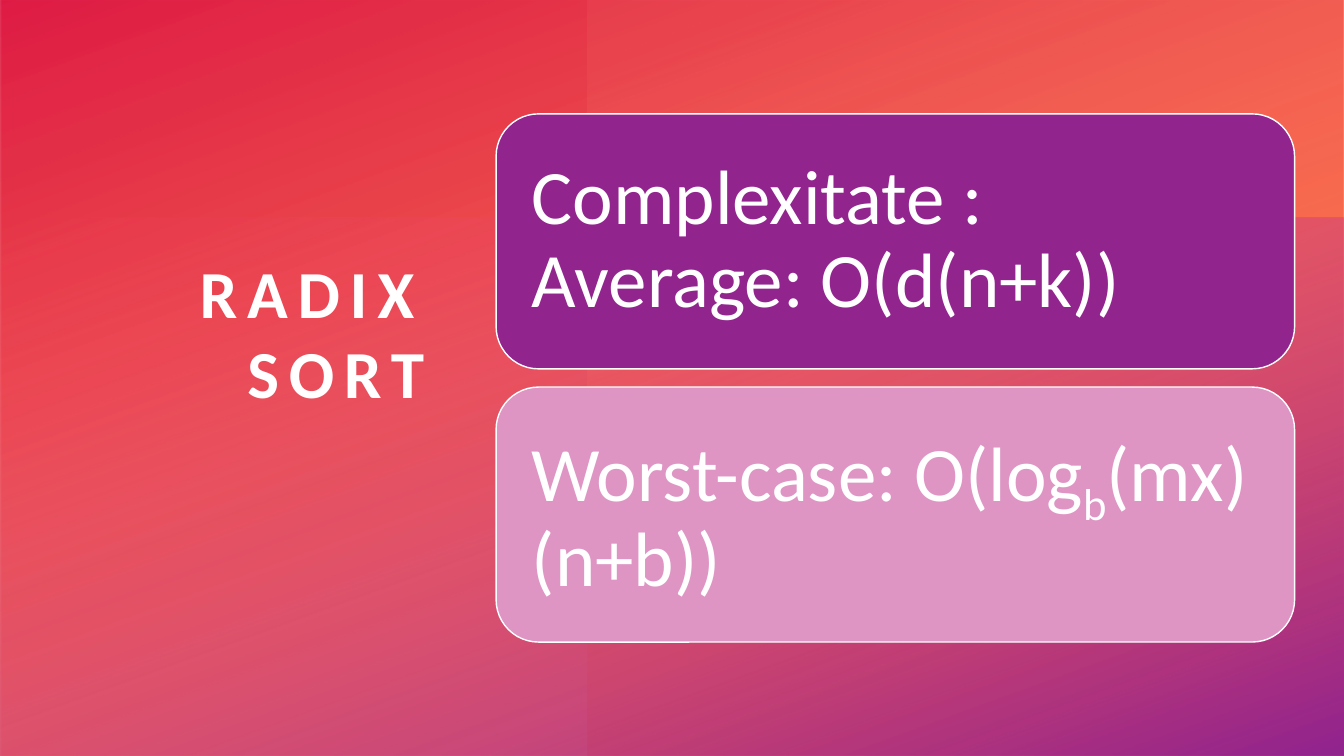
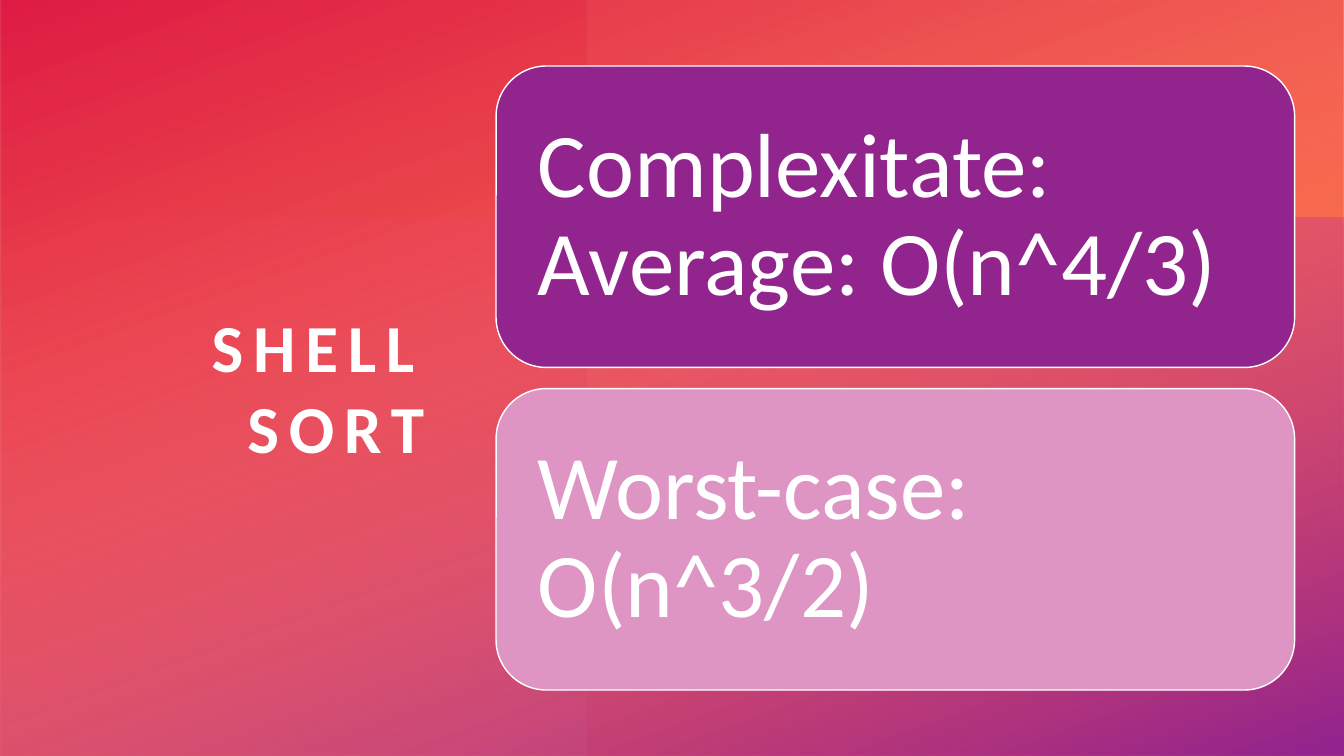
import pptx
import pptx.dml.color
import pptx.enum.shapes
import pptx.enum.text
import pptx.oxml.ns
import pptx.util
from lxml import etree

Inches = pptx.util.Inches
Pt = pptx.util.Pt

WIDTH, HEIGHT = 13.33, 7.5
COLOURS = {
    "white": "FFFFFF",
    "crimson": "DA002F",
    "orange": "FE4A00",
    "peach": "FF907A",
    "rose": "FF5076",
    "purple": "92248E",
    "pink": "DE95C4",
}
FONT = "Calibri"
CARD_LEFT, CARD_WIDTH = 4.92, 7.92
WASHES = [
    ((2.92, -2.92, 7.5, 13.33), 270, 200, [(8, "orange", 61), (100, "crimson", 89)]),
    ((5.83, 0, 7.5, 7.5), 180, 290, [(8, "peach", 11), (100, "orange", 70)]),
    ((3.99, -1.84, 5.35, 13.34), 270, 20, [(0, "rose", 0), (99, "purple", 100)]),
]


def rgb(name):
    """Return the named colour of the palette."""
    return pptx.dml.color.RGBColor.from_string(COLOURS[name])


def style_text(paragraph, size, bold=False):
    """Apply the shared white lettering to a paragraph."""
    paragraph.font.name = FONT
    paragraph.font.size = Pt(size)
    paragraph.font.bold = bold
    paragraph.font.color.rgb = rgb("white")


def set_insets(frame, inset):
    """Give a text frame the same inset on all four sides."""
    frame.margin_left = frame.margin_right = Inches(inset)
    frame.margin_top = frame.margin_bottom = Inches(inset)


def add_wash(slide, box, rotation, angle, stops):
    """Add a mirrored, translucent two-colour gradient layer."""
    wash = slide.shapes.add_shape(
        pptx.enum.shapes.MSO_SHAPE.RECTANGLE, *map(Inches, box))
    wash.shadow.inherit = False
    wash.rotation = rotation
    wash.element.spPr.xfrm.set("flipH", "1")
    wash.fill.gradient()
    wash.fill.gradient_angle = 360 - angle
    for stop, (position, colour, opacity) in zip(wash.fill.gradient_stops, stops):
        stop.position = position / 100
        stop.color.rgb = rgb(colour)
    tints = wash.element.spPr.iter(pptx.oxml.ns.qn("a:srgbClr"))
    for tint, (position, colour, opacity) in zip(tints, stops):
        alpha = etree.SubElement(tint, pptx.oxml.ns.qn("a:alpha"))
        alpha.set("val", str(opacity * 1000))
    wash.line.fill.background()


def set_title(slide, text, bottom):
    """Place the spaced, right-aligned title in front of the backdrop."""
    title = slide.shapes.title
    slide.shapes.element.append(title.element)
    top = 0.95
    title.left, title.top = Inches(0.5), Inches(top)
    title.width, title.height = Inches(3.71), Inches(bottom - top)
    frame = title.text_frame
    frame.text = text
    frame.word_wrap = True
    frame.auto_size = pptx.enum.text.MSO_AUTO_SIZE.NONE
    frame.vertical_anchor = pptx.enum.text.MSO_ANCHOR.BOTTOM
    set_insets(frame, 0)
    heading = frame.paragraphs[0]
    heading.alignment = pptx.enum.text.PP_ALIGN.RIGHT
    style_text(heading, 48, bold=True)
    heading.runs[0].font.bold = True
    heading.runs[0].font._element.set("spc", "700")


def add_card(slide, top, height, colour, pieces, size, inset):
    """Add a rounded card; every second text piece is a subscript."""
    card = slide.shapes.add_shape(
        pptx.enum.shapes.MSO_SHAPE.ROUNDED_RECTANGLE,
        Inches(CARD_LEFT), Inches(top), Inches(CARD_WIDTH), Inches(height))
    card.shadow.inherit = False
    card.fill.solid()
    card.fill.fore_color.rgb = rgb(colour)
    card.line.color.rgb = rgb("white")
    card.line.width = Pt(1)
    frame = card.text_frame
    frame.word_wrap = True
    frame.vertical_anchor = pptx.enum.text.MSO_ANCHOR.MIDDLE
    set_insets(frame, inset)
    complexity = frame.paragraphs[0]
    complexity.alignment = pptx.enum.text.PP_ALIGN.LEFT
    complexity.line_spacing = 0.9
    style_text(complexity, size)
    for index, piece in enumerate(pieces):
        run = complexity.add_run()
        run.text = piece
        if index % 2:
            run.font._element.set("baseline", "-25000")


def add_sort_slide(deck, title, title_bottom, cards, card_height, gap, size, inset):
    """Add a slide with a title and vertically centred complexity cards."""
    slide = deck.slides.add_slide(deck.slide_layouts.get_by_name("Title Only"))
    for wash in WASHES:
        add_wash(slide, *wash)
    set_title(slide, title, title_bottom)
    step = card_height + gap
    first_top = (HEIGHT - len(cards) * step + gap) / 2
    for index, (colour, pieces) in enumerate(zip(("purple", "pink"), cards)):
        add_card(slide, first_top + index * step, card_height, colour,
                 pieces, size, inset)


def main():
    """Build and save the sorting slides."""
    deck = pptx.Presentation()
    deck.slide_width, deck.slide_height = Inches(WIDTH), Inches(HEIGHT)
    add_sort_slide(
        deck, "RADIX SORT", 4.09,
        [["Complexitate : Average: O(d(n+k))"],
         ["Worst-case: O(log", "b", "(mx)(n+b))"]],
        card_height=2.53, gap=0.18, size=55, inset=0.23)
    add_sort_slide(
        deck, "SHELL SORT", 4.63,
        [["Complexitate: Average: O(n^4/3)"], ["Worst-case: O(n^3/2)"]],
        card_height=2.99, gap=0.21, size=65, inset=0.27)
    deck.save("out.pptx")


if __name__ == "__main__":
    main()
